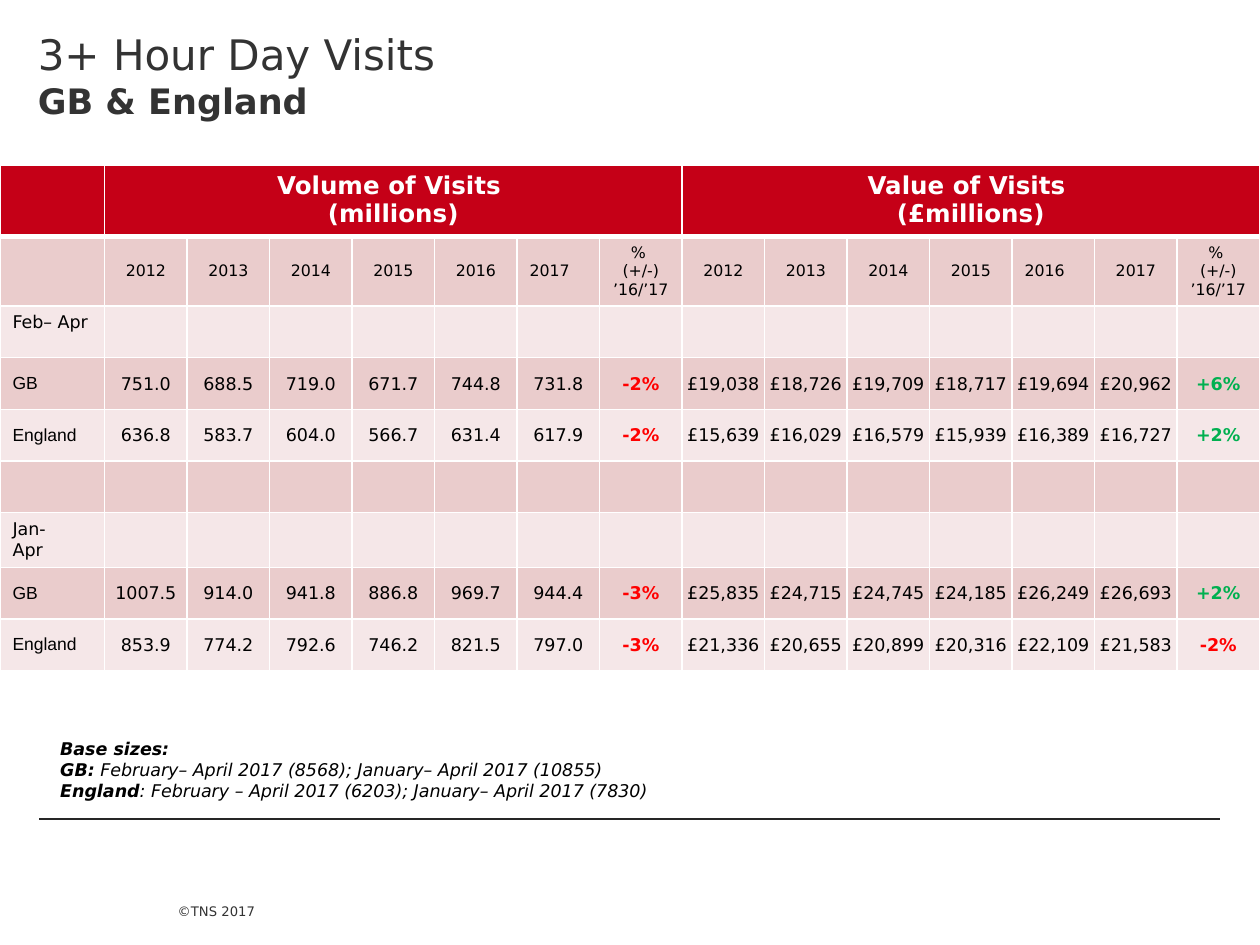
from lxml.etree import SubElement
from pptx import Presentation
from pptx.dml.color import RGBColor
from pptx.enum.shapes import MSO_CONNECTOR
from pptx.enum.text import MSO_ANCHOR, PP_ALIGN
from pptx.oxml import parse_xml
from pptx.oxml.ns import nsdecls, qn
from pptx.util import Inches, Pt

FONT = "DejaVu Sans"
COLORS = {
    "header": "C50017", "dark_band": "EACCCC", "light_band": "F5E7E8",
    "white": "FFFFFF", "black": "000000", "title": "333333", "rule": "262626",
    "fall": "FF0000", "rise": "00B050",
}
YEARS = ["2012", "2013", "2014", "2015", "2016", "2017"]
CHANGE = "% \n(+/-) ’16/’17"
LEFT_ALIGNED_YEARS = (6, 12)
GROUPS = [("Volume of Visits \n(millions)", 1), ("Value of Visits \n(£millions)", 8)]
BODY = [
    ["Feb– Apr"],
    ["GB", "751.0", "688.5", "719.0", "671.7", "744.8", "731.8", "-2%",
     "£19,038", "£18,726", "£19,709", "£18,717", "£19,694", "£20,962", "+6%"],
    ["England", "636.8", "583.7", "604.0", "566.7", "631.4", "617.9", "-2%",
     "£15,639", "£16,029", "£16,579", "£15,939", "£16,389", "£16,727", "+2%"],
    [],
    ["Jan-\nApr"],
    ["GB", "1007.5", "914.0", "941.8", "886.8", "969.7", "944.4", "-3%",
     "£25,835", "£24,715", "£24,745", "£24,185", "£26,249", "£26,693", "+2%"],
    ["England", "853.9", "774.2", "792.6", "746.2", "821.5", "797.0", "-3%",
     "£21,336", "£20,655", "£20,899", "£20,316", "£22,109", "£21,583", "-2%"],
]
ROWS, COLUMNS = len(BODY) + 2, 15


def color(name):
    return RGBColor.from_string(COLORS[name])


def style(font, size, color_name, bold=False, italic=False, name=FONT):
    font.name, font.size, font.bold, font.italic = name, Pt(size), bold, italic
    font.color.rgb = color(color_name)


def set_insets(target, left, top, right, bottom):
    target.margin_left, target.margin_top = Inches(left), Inches(top)
    target.margin_right, target.margin_bottom = Inches(right), Inches(bottom)


def set_borders(cell, row):
    """White grid, with a heavier rule under the header row."""
    widths = {"L": 1, "R": 1, "T": 3 if row == 1 else 1, "B": 3 if row == 0 else 1}
    properties = cell._tc.get_or_add_tcPr()
    for position, (side, width) in enumerate(widths.items()):
        properties.insert(position, parse_xml(
            f'<a:ln{side} {nsdecls("a")} w="{Pt(width)}"><a:solidFill>'
            f'<a:srgbClr val="{COLORS["white"]}"/></a:solidFill></a:ln{side}>'))


def write_cell(cell, text, size, color_name="black", align=PP_ALIGN.CENTER,
               anchor=MSO_ANCHOR.MIDDLE, bold=False, name=FONT):
    cell.text = text
    cell.vertical_anchor = anchor
    for paragraph in cell.text_frame.paragraphs:
        paragraph.alignment = align
        style(paragraph.font, size, color_name, bold, name=name)


def write_label(cell, label):
    write_cell(cell, label, 10, align=PP_ALIGN.LEFT,
               anchor=MSO_ANCHOR.TOP if label.startswith("Feb") else MSO_ANCHOR.MIDDLE,
               name="Arial" if label in ("GB", "England") else FONT)


def write_value(cell, value):
    is_change = value.endswith("%")
    color_name = "black"
    if is_change:
        color_name = "fall" if value.startswith("-") else "rise"
    write_cell(cell, value, 10, color_name, bold=is_change)
    set_insets(cell, 0.01, 0.01, 0.01, 0)


def add_visits_table(slide):
    table = slide.shapes.add_table(
        ROWS, COLUMNS, 0, Inches(1.31), Inches(10), Inches(0.41 * ROWS)).table
    label_width = Inches(0.83)
    for index, column in enumerate(table.columns):
        column.width = label_width if index == 0 else (Inches(10) - label_width) // 14
    for row in range(ROWS):
        band = "header" if row == 0 else "dark_band" if row % 2 else "light_band"
        for column in range(COLUMNS):
            cell = table.cell(row, column)
            cell.fill.solid()
            cell.fill.fore_color.rgb = color(band)
            set_borders(cell, row)

    for heading, first in GROUPS:
        cell = table.cell(0, first)
        cell.merge(table.cell(0, first + 6))
        write_cell(cell, heading, 14, "white", anchor=MSO_ANCHOR.TOP, bold=True)
    for column, heading in enumerate((YEARS + [CHANGE]) * 2, start=1):
        align = PP_ALIGN.LEFT if column in LEFT_ALIGNED_YEARS else PP_ALIGN.CENTER
        write_cell(table.cell(1, column), heading, 9, align=align)
    for row, entries in enumerate(BODY, start=2):
        for column, entry in enumerate(entries):
            write = write_value if column else write_label
            write(table.cell(row, column), entry)


def add_title(slide):
    title = slide.shapes.title
    title.left, title.top, title.width, title.height = 0, 0, Inches(5.55), Inches(1.41)
    frame = title.text_frame
    frame.vertical_anchor = MSO_ANCHOR.TOP
    set_insets(frame, 0.3, 0.23, 0.3, 0)
    paragraph = frame.paragraphs[0]
    paragraph.alignment = PP_ALIGN.LEFT
    topic = paragraph.add_run()
    topic.text = "3+ Hour Day Visits "
    style(topic.font, 24, "title")
    paragraph.add_line_break()
    area = paragraph.add_run()
    area.text = "GB & England"
    style(area.font, 20, "title", bold=True)


def add_text_frame(slide, left, top, width, height):
    frame = slide.shapes.add_textbox(
        Inches(left), Inches(top), Inches(width), Inches(height)).text_frame
    frame.word_wrap = True
    return frame


def add_base_sizes(slide):
    frame = add_text_frame(slide, 0.38, 5.81, 8.44, 0.61)
    notes = [
        ("Base sizes: \vGB:", " February– April 2017 (8568); January– April 2017 (10855)"),
        ("England", ": February – April 2017 (6203); January– April 2017 (7830)"),
    ]
    for index, (area, sizes) in enumerate(notes):
        paragraph = frame.add_paragraph() if index else frame.paragraphs[0]
        paragraph.text = area
        run = paragraph.add_run()
        run.text = sizes
        for part in paragraph.runs:
            style(part.font, 10, "black", bold=part.text != sizes, italic=True)


def add_footer(slide):
    rule = slide.shapes.add_connector(
        MSO_CONNECTOR.STRAIGHT, Inches(0.31), Inches(6.5), Inches(9.68), Inches(6.5))
    rule.line.color.rgb = color("rule")
    rule.line.width = Pt(0.75)
    SubElement(rule._element.spPr, qn("a:effectLst"))

    frame = add_text_frame(slide, 1.41, 6.92, 0.83, 0.58)
    frame.vertical_anchor = MSO_ANCHOR.BOTTOM
    set_insets(frame, 0, 0, 0, 0.29)
    frame.text = "©TNS 2017"
    style(frame.paragraphs[0].font, 7.5, "title")


def main():
    presentation = Presentation()
    presentation.slide_width, presentation.slide_height = Inches(10), Inches(7.5)
    slide = presentation.slides.add_slide(presentation.slide_layouts[5])
    add_footer(slide)
    add_title(slide)
    add_visits_table(slide)
    add_base_sizes(slide)
    presentation.save("out.pptx")


if __name__ == "__main__":
    main()
